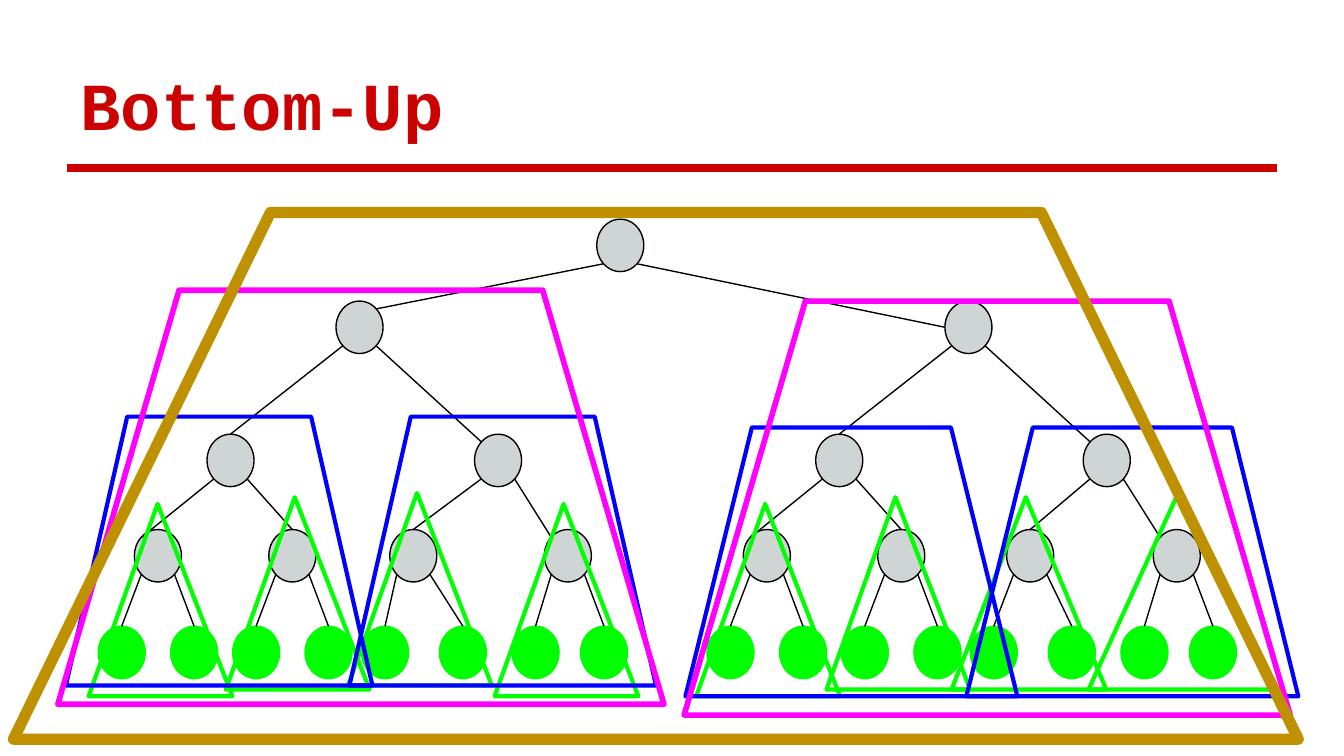
from lxml import etree
from pptx import Presentation
from pptx.dml.color import RGBColor
from pptx.enum.shapes import MSO_CONNECTOR, MSO_SHAPE
from pptx.enum.text import MSO_ANCHOR, MSO_AUTO_SIZE, PP_ALIGN
from pptx.oxml.ns import qn
from pptx.util import Pt

STRAIGHT = MSO_CONNECTOR.STRAIGHT
ELLIPSE = MSO_SHAPE.OVAL
TRIANGLE = MSO_SHAPE.ISOSCELES_TRIANGLE
TRAPEZOID = MSO_SHAPE.FLOWCHART_MANUAL_OPERATION

RED = RGBColor(0xCC, 0x02, 0x02)
GREY = RGBColor(0xCF, 0xD4, 0xD4)
BLACK = RGBColor(0, 0, 0)
GREEN = RGBColor(0, 0xFF, 0)
BLUE = RGBColor(0, 0, 0xFF)
MAGENTA = RGBColor(0xFF, 0, 0xFF)
GOLD = RGBColor(0xBF, 0x90, 0)

NODE_WIDTH, NODE_HEIGHT = 25.2, 28.1

# Places on a node's outline, as shares of its width and height
TOP, LEFT = (0.5, 0), (0, 0.5)
TOP_LEFT, TOP_RIGHT = (0.15, 0.15), (0.85, 0.15)
BOTTOM_LEFT, BOTTOM_RIGHT = (0.15, 0.85), (0.85, 0.85)

# Tree levels: top, left edges of the nodes, where the edges from above arrive
LEVELS = [
    (117.4, [319.7], []),
    (161.3, [180, 506.2], [TOP_RIGHT, LEFT]),
    (232.6, [110.9, 254.2, 437, 580.3], [TOP, TOP_LEFT] * 2),
    (283.7, [72, 144, 208.8, 291.6, 398.2, 470.2, 539.3, 617.8],
     [TOP_LEFT, TOP, TOP, TOP_LEFT] * 2),
    (335.5, [52.6, 91.4, 124.6, 163.4, 193.7, 235.4, 274.3, 311,
             378.7, 417.6, 450.7, 489.6, 519.8, 561.6, 600.5, 637.2],
     [TOP] * 16),
]

# Left, top and width of the outlines round the smallest subtrees
TRIANGLE_HEIGHT = 103
TRIANGLES = [(583.2, 266.4, 97.9), (509.8, 266.4, 82.8), (442.8, 266.4, 77),
             (373, 270, 77), (265, 270, 77), (186.5, 264.2, 77),
             (121, 266.4, 77), (47.5, 270, 77)]

# Colour, line width, height and (left, top, width) of the larger outlines
TRAPEZOIDS = [
    (BLUE, 2.25, 144, [(517.7, 229, 177.8), (367.2, 229, 177.8),
                       (187.2, 223.2, 164.2), (35.3, 223.2, 164.2)]),
    (MAGENTA, 3, 221.8, [(366.5, 161.3, 324.7), (31, 155.5, 324.7)]),
    (GOLD, 6, 282.2, [(7.2, 113.8, 688.3)]),
]


class TreeSlide:
    font_name = "Courier New"
    title_size = 36
    thin = 0.75

    def __init__(self, presentation):
        self.slide = presentation.slides.add_slide(presentation.slide_layouts[5])

    def title(self, text, left, top, width, height):
        shape = self.slide.shapes.title
        shape.left, shape.top = Pt(left), Pt(top)
        shape.width, shape.height = Pt(width), Pt(height)
        frame = shape.text_frame
        frame.auto_size = MSO_AUTO_SIZE.NONE
        frame.word_wrap = True
        frame.vertical_anchor = MSO_ANCHOR.BOTTOM
        frame.margin_left = frame.margin_right = Pt(7.2)
        frame.margin_top = frame.margin_bottom = Pt(7.2)
        paragraph = frame.paragraphs[0]
        paragraph.alignment = PP_ALIGN.LEFT
        run = paragraph.add_run()
        run.text = text
        run.font.name = self.font_name
        run.font.size = Pt(self.title_size)
        run.font.bold = True
        run.font.color.rgb = RED

    def line(self, start, end, color=BLACK, weight=thin):
        connector = self.slide.shapes.add_connector(
            STRAIGHT, *(Pt(length) for length in (*start, *end)))
        connector.line.color.rgb = color
        connector.line.width = Pt(weight)
        etree.SubElement(connector._element.spPr, qn("a:effectLst"))

    def outline(self, kind, left, top, width, height, color, weight):
        shape = self.slide.shapes.add_shape(
            kind, Pt(left), Pt(top), Pt(width), Pt(height))
        shape.shadow.inherit = False
        shape.fill.background()
        shape.line.color.rgb = color
        shape.line.width = Pt(weight)
        return shape

    def node(self, left, top, fill, line):
        shape = self.outline(ELLIPSE, left, top, NODE_WIDTH, NODE_HEIGHT,
                             line, self.thin)
        shape.fill.solid()
        shape.fill.fore_color.rgb = fill


def place(left, top, port):
    return left + port[0] * NODE_WIDTH, top + port[1] * NODE_HEIGHT


def main():
    presentation = Presentation()
    presentation.slide_width, presentation.slide_height = Pt(720), Pt(405)
    tree = TreeSlide(presentation)

    # Title and rule
    tree.title("Bottom-Up", 36, 16.6, 648, 67.7)
    tree.line((36, 90), (684, 90), RED, 4)

    # Nodes, with green leaves
    for top, lefts, _ in LEVELS:
        is_leaf = top == LEVELS[-1][0]
        for left in lefts:
            tree.node(left, top, GREEN if is_leaf else GREY,
                      GREEN if is_leaf else BLACK)

    # Edges from each parent to its two children
    for (parent_top, parents, _), (top, lefts, ports) in zip(LEVELS, LEVELS[1:]):
        for index, (left, port) in enumerate(zip(lefts, ports)):
            side = BOTTOM_RIGHT if index % 2 else BOTTOM_LEFT
            tree.line(place(parents[index // 2], parent_top, side),
                      place(left, top, port))

    # Subtree outlines, from the smallest to the whole tree
    for left, top, width in TRIANGLES:
        shape = tree.outline(TRIANGLE, left, top, width, TRIANGLE_HEIGHT,
                             GREEN, 2.25)
        shape.adjustments[0] = 0.48
    for color, weight, height, boxes in TRAPEZOIDS:
        for left, top, width in boxes:
            shape = tree.outline(TRAPEZOID, left, top, width, height,
                                 color, weight)
            shape.rotation = 180

    presentation.save("out.pptx")


if __name__ == "__main__":
    main()
